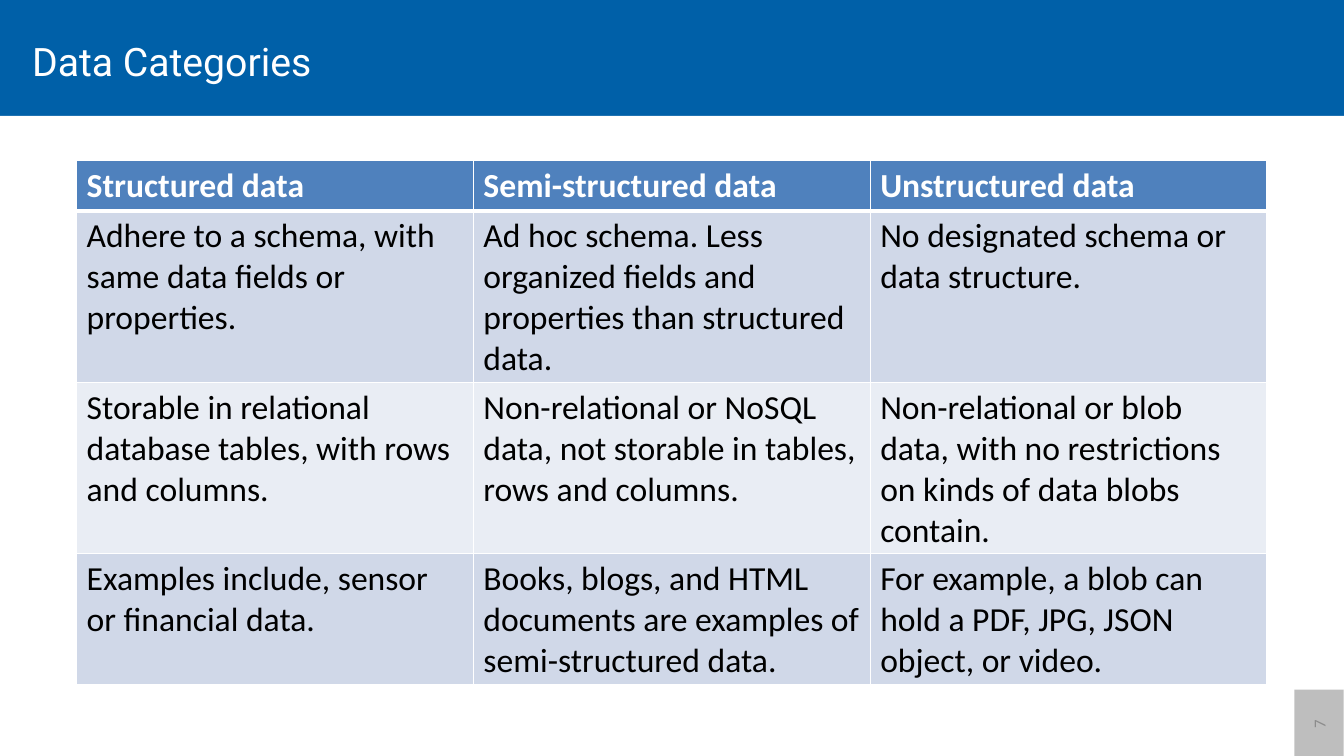
from dataclasses import dataclass

from lxml import etree
from pptx import Presentation
from pptx.dml.color import RGBColor
from pptx.enum.shapes import MSO_SHAPE
from pptx.enum.text import MSO_ANCHOR, PP_ALIGN
from pptx.oxml.ns import qn
from pptx.shapes.autoshape import Shape
from pptx.slide import Slide
from pptx.table import _Cell
from pptx.text.text import _Paragraph
from pptx.util import Pt

RECTANGLE = MSO_SHAPE.RECTANGLE
MIDDLE = MSO_ANCHOR.MIDDLE
CENTER = PP_ALIGN.CENTER

BLUE = RGBColor(0x00, 0x60, 0xA8)
WHITE = RGBColor(0xFF, 0xFF, 0xFF)
BLACK = RGBColor(0x00, 0x00, 0x00)
SHADE = RGBColor(0xE3, 0xE3, 0xE3)
GRAY = RGBColor(0x7F, 0x7F, 0x7F)
NUMBER_GRAY = RGBColor(0x8C, 0x8C, 0x8C)
HEADER_BLUE = RGBColor(0x4F, 0x81, 0xBD)
BAND_DARK = RGBColor(0xD0, 0xD8, 0xE8)
BAND_LIGHT = RGBColor(0xE9, 0xED, 0xF4)

SLIDE_WIDTH = 960
SLIDE_HEIGHT = 540
COLUMN_WIDTH = 283.46


@dataclass
class Box:
    left: float
    top: float
    width: float
    height: float


@dataclass
class TableRow:
    height: float
    fill: RGBColor
    texts: tuple[str, str, str]
    header: bool = False


@dataclass
class GradientStop:
    position: int
    color: RGBColor
    opacity: int


ROWS = [
    TableRow(36, HEADER_BLUE,
             ("Structured data", "Semi-structured data", "Unstructured data"), True),
    TableRow(122.4, BAND_DARK, (
        "Adhere to a schema, with same data fields or properties.",
        "Ad hoc schema. Less organized fields and properties than structured data.",
        "No designated schema or data structure.")),
    TableRow(122.4, BAND_LIGHT, (
        "Storable in relational database tables, with rows and columns.",
        "Non-relational or NoSQL data, not storable in tables, rows and columns.",
        "Non-relational or blob data, with no restrictions on kinds of data blobs contain.")),
    TableRow(93.6, BAND_DARK, (
        "Examples include, sensor or financial data.",
        "Books, blogs, and HTML documents are examples of semi-structured data.",
        "For example, a blob can hold a PDF, JPG, JSON object, or video.")),
]

SHADOW_STOPS = [
    GradientStop(0, BLACK, 13),
    GradientStop(48, SHADE, 0),
    GradientStop(66, WHITE, 0),
]


def set_opacity(color_element: etree._Element, percent: int) -> None:
    etree.SubElement(color_element, qn("a:alpha"), val=str(percent * 1000))


def add_rectangle(slide: Slide, box: Box, color: RGBColor) -> Shape:
    rectangle = slide.shapes.add_shape(
        RECTANGLE, Pt(box.left), Pt(box.top), Pt(box.width), Pt(box.height))
    rectangle.shadow.inherit = False
    rectangle.line.fill.background()
    rectangle.fill.solid()
    rectangle.fill.fore_color.rgb = color
    return rectangle


def fade_down(rectangle: Shape, stops: list[GradientStop]) -> None:
    rectangle.fill.gradient()
    gradient = rectangle._element.spPr.find(qn("a:gradFill"))
    for child in list(gradient):
        gradient.remove(child)
    stop_list = etree.SubElement(gradient, qn("a:gsLst"))
    for stop in stops:
        entry = etree.SubElement(stop_list, qn("a:gs"), pos=str(stop.position * 1000))
        color = etree.SubElement(entry, qn("a:srgbClr"), val=str(stop.color))
        set_opacity(color, stop.opacity)
    etree.SubElement(gradient, qn("a:lin"), ang="5400000", scaled="0")


def style_text(paragraph: _Paragraph, text: str, font_name: str, size: float,
               color: RGBColor, bold: bool = False) -> None:
    paragraph.text = text
    paragraph.font.name = font_name
    paragraph.font.size = Pt(size)
    paragraph.font.bold = bold
    paragraph.font.color.rgb = color


def set_borders(cell: _Cell, bottom_width: float, top_width: float) -> None:
    properties = cell._tc.get_or_add_tcPr()
    widths = {"a:lnL": 1, "a:lnR": 1, "a:lnT": top_width, "a:lnB": bottom_width}
    for index, (side, width) in enumerate(widths.items()):
        border = etree.Element(qn(side), w=str(Pt(width)))
        fill = etree.SubElement(border, qn("a:solidFill"))
        etree.SubElement(fill, qn("a:srgbClr"), val=str(WHITE))
        properties.insert(index, border)


def add_categories(slide: Slide, box: Box, rows: list[TableRow]) -> None:
    categories = slide.shapes.add_table(
        len(rows), len(rows[0].texts),
        Pt(box.left), Pt(box.top), Pt(box.width), Pt(box.height)).table
    for column in categories.columns:
        column.width = Pt(COLUMN_WIDTH)
    for row_index, row in enumerate(rows):
        categories.rows[row_index].height = Pt(row.height)
        for column_index, text in enumerate(row.texts):
            cell = categories.cell(row_index, column_index)
            cell.fill.solid()
            cell.fill.fore_color.rgb = row.fill
            style_text(cell.text_frame.paragraphs[0], text, "Calibri", 24,
                       WHITE if row.header else BLACK, row.header)
            set_borders(cell, 3 if row.header else 1, 3 if row_index == 1 else 1)


def add_title(slide: Slide, box: Box, text: str) -> None:
    title = slide.shapes.add_textbox(
        Pt(box.left), Pt(box.top), Pt(box.width), Pt(box.height))
    title.text_frame.word_wrap = True
    title.text_frame.vertical_anchor = MIDDLE
    style_text(title.text_frame.paragraphs[0], text, "Roboto", 28, WHITE)


def add_page_number(slide: Slide, box: Box, text: str) -> None:
    page_number = add_rectangle(slide, box, GRAY)
    page_number.rotation = 270
    set_opacity(page_number._element.spPr.find(
        qn("a:solidFill")).find(qn("a:srgbClr")), 50)
    page_number.text_frame.vertical_anchor = MIDDLE
    paragraph = page_number.text_frame.paragraphs[0]
    paragraph.alignment = CENTER
    style_text(paragraph, text, "Calibri", 12, NUMBER_GRAY)


def main() -> None:
    presentation = Presentation()
    presentation.slide_width = Pt(SLIDE_WIDTH)
    presentation.slide_height = Pt(SLIDE_HEIGHT)
    slide = presentation.slides.add_slide(presentation.slide_layouts[6])
    slide.background.fill.solid()
    slide.background.fill.fore_color.rgb = BLUE

    add_rectangle(slide, Box(0, 82.8, SLIDE_WIDTH, 457.2), WHITE)
    header_shadow = add_rectangle(slide, Box(0, 84.24, SLIDE_WIDTH, 30.24), WHITE)
    fade_down(header_shadow, SHADOW_STOPS)
    add_page_number(slide, Box(917.3, 499.7, 49.7, 35.3), "7")
    add_title(slide, Box(15.84, 12.24, 817.2, 62.64), "Data Categories")
    add_categories(slide, Box(54.72, 114.48, 3 * COLUMN_WIDTH,
                              sum(row.height for row in ROWS)), ROWS)
    presentation.save("out.pptx")


if __name__ == "__main__":
    main()
